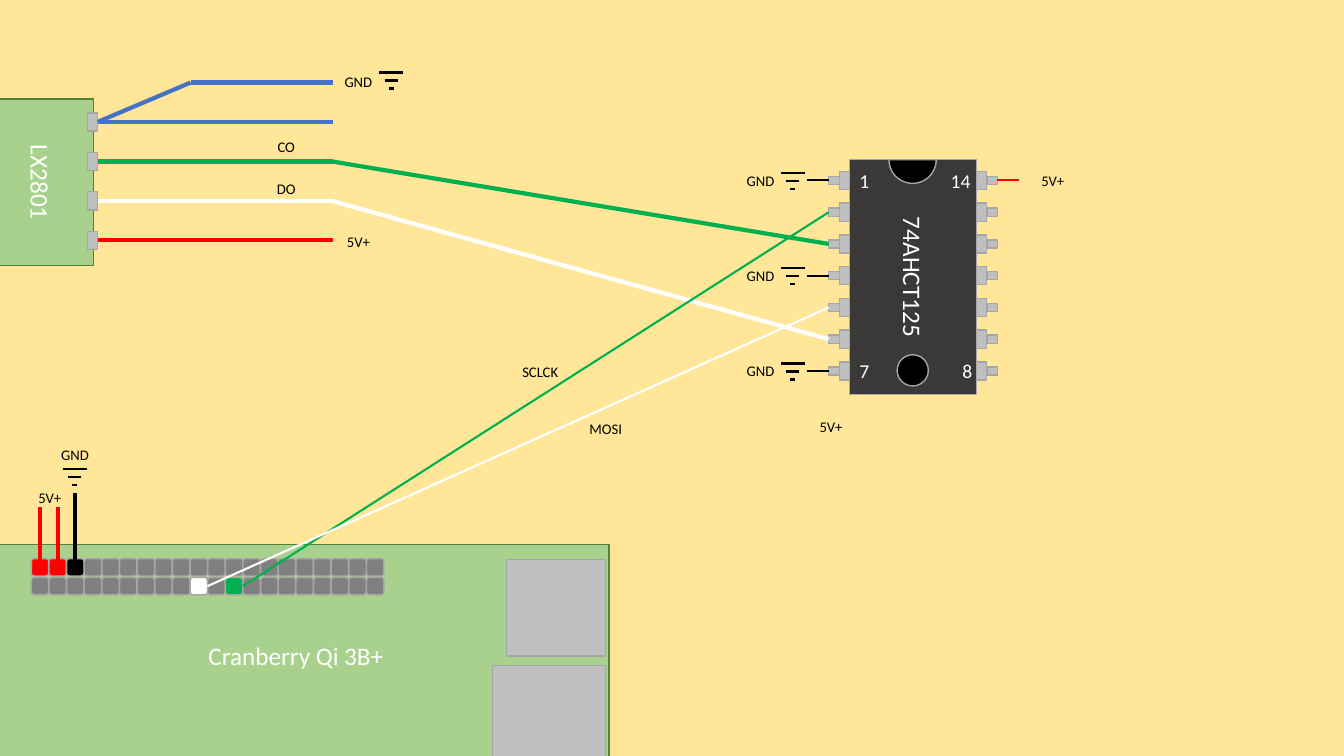
from pptx import Presentation
from pptx.dml.color import RGBColor
from pptx.enum.shapes import MSO_CONNECTOR, MSO_SHAPE
from pptx.enum.text import MSO_ANCHOR, PP_ALIGN
from pptx.util import Pt
from lxml import etree

INK = {"sand": "FFE699", "chip": "3B3838", "edge": "A6A6A6", "metal": "BFBFBF",
       "board": "A9D18E", "rim": "548235", "gray": "808080", "black": "000000",
       "white": "FFFFFF", "red": "FF0000", "green": "00B050", "blue": "4472C4"}
FRAME = {"word_wrap": True, "vertical_anchor": MSO_ANCHOR.MIDDLE, "margin_left": 0,
         "margin_right": 0, "margin_top": 0, "margin_bottom": 0}
A_NS = "http://schemas.openxmlformats.org/drawingml/2006/main"

deck = Presentation()
deck.slide_width, deck.slide_height = Pt(960), Pt(540)
slide = deck.slides.add_slide(deck.slide_layouts[6])
parts = slide.shapes


def block(kind, x, y, w, h, fill=None, edge="edge", text="", size=18, ink="white"):
    """Shape, or a plain text box when kind is None; text is centred."""
    box = [Pt(n) for n in (x, y, w, h)]
    if kind is None:
        item = parts.add_textbox(*box)
    else:
        item = parts.add_shape(kind, *box)
        item.shadow.inherit = False
        item.fill.solid()
        item.fill.fore_color.rgb = RGBColor.from_string(INK[fill])
        if edge:
            item.line.color.rgb = RGBColor.from_string(INK[edge])
            item.line.width = Pt(1)
        else:
            item.line.fill.background()
    if text:
        for key, val in FRAME.items():
            setattr(item.text_frame, key, val)
        para = item.text_frame.paragraphs[0]
        para.alignment = PP_ALIGN.CENTER
        run = para.add_run()
        run.text = text
        for key, val in {"size": Pt(size), "name": "Calibri"}.items():
            setattr(run.font, key, val)
        run.font.color.rgb = RGBColor.from_string(INK[ink])
    return item


def wire(start, end, ink, width=1.5):
    """Line between two ends; an end is a point or a (shape, side) pair."""
    spots = [(0, 0) if hasattr(e[0], "shape_id") else e for e in (start, end)]
    line = parts.add_connector(MSO_CONNECTOR.STRAIGHT, *[Pt(n) for s in spots for n in s])
    for e, join in ((start, line.begin_connect), (end, line.end_connect)):
        if hasattr(e[0], "shape_id"):
            join(*e)
    line.line.color.rgb = RGBColor.from_string(INK[ink])
    line.line.width = Pt(width)
    etree.SubElement(line.element.spPr, "{%s}effectLst" % A_NS)


RECT = MSO_SHAPE.RECTANGLE
block(RECT, 0, -2.9, 960, 542.9, "sand", None)

# Chip body with notch and dot
chip = block(RECT, 607, 114, 90.7, 167.6, "chip", text="74AHCT125")
notch = block(MSO_SHAPE.CHORD, 635, 97.2, 33.8, 33.8, "black")
notch.rotation = 270
notch.adjustments[0], notch.adjustments[1] = 54, 162
block(MSO_SHAPE.OVAL, 640.8, 253.4, 22.3, 22.3, "black")

# Chip pins, seven on each side
rows = [128.9 + 22.68 * i for i in range(7)]
tips = []
for y in rows:
    block(RECT, 599.8, y - 6.5, 7.2, 13, "metal")
    tips.append(block(RECT, 592, y - 2.9, 7.5, 5.8, "metal"))
right = []
for y in rows:
    block(RECT, 697.7, y - 6.5, 7.2, 13, "metal")
    right.append(block(RECT, 704.9, y - 2.9, 7.5, 5.8, "metal"))
for text, x, y in (("1", 617.4, rows[0]), ("7", 617.4, rows[6]),
                   ("8", 691, rows[6]), ("14", 686.2, rows[0])):
    block(None, x - 10, y - 7.5, 20, 15, text=text, size=14)

# Strip board and its pins
strip = block(RECT, -8.6, 70.6, 75.2, 119.2, "board", "rim", "LX2801")
for item in (chip, strip):
    item.element.txBody.bodyPr.set("vert", "vert")
ports = [block(RECT, 62.6, 80.6 + 28.2 * i, 7.2, 13, "metal") for i in range(4)]

# Strip wires
for i, ink in enumerate(("blue", "green", "white", "red")):
    wire((237.6, 87.1 + 28.2 * i), (ports[i], 3), ink, 3)
wire((237.6, 59), (136.1, 59), "blue", 3)
wire((136.1, 59), (ports[0], 3), "blue", 3)
wire((tips[2], 1), (236.9, 115.3), "green", 3)
wire((tips[5], 1), (236.9, 143.5), "white", 3)

# Chip power wires
for i in (0, 3, 6):
    wire((tips[i], 1), (576.7, rows[i]), "black")
wire((727.9, rows[0]), (right[0], 3), "red")

# Computer board with header and sockets
block(RECT, -12.2, 388.8, 447.1, 159.1, "board", "rim", "Cranberry Qi 3B+")
tint = {(0, 0): "red", (0, 1): "red", (0, 2): "black", (1, 9): "white", (1, 11): "green"}
cells = {}
for row in range(2):
    for col in range(20):
        cells[row, col] = block(MSO_SHAPE.ROUNDED_RECTANGLE, 22.4 + 12.6 * col,
                                399 + 13.5 * row, 12.4, 12.4,
                                tint.get((row, col), "gray"))
block(RECT, 361.8, 399.6, 70.8, 69.1, "metal")
block(RECT, 351.6, 475.2, 80.9, 79.2, "metal")

# Header wires
wire((tips[1], 1), (cells[1, 11], 3), "green")
wire((tips[4], 1), (cells[1, 9], 3), "white")
for col, top, ink in ((0, 362.2, "red"), (1, 362.2, "red"), (2, 352.1, "black")):
    x = 28.6 + 12.6 * col
    wire((x, top), (x, 405.4), ink, 3)

# Ground signs
for x, y in [(566.3, rows[i] - 5.3) for i in (0, 3, 6)] + [(279.4, 51.8), (53.5, 334.8)]:
    for i, half in enumerate((8.6, 4.7, 1.8)):
        wire((x - half, y + 5.7 * i), (x + half, y + 5.7 * i), "black")

# Labels, placed by their centres
tags = [("GND", 543.2, rows[i]) for i in (0, 3, 6)] + [
    ("GND", 256, 58), ("GND", 53.6, 324.4), ("SCLCK", 385.9, 265.3),
    ("MOSI", 432.7, 306.4), ("CO", 204.5, 104.8), ("DO", 204.5, 135),
    ("5V+", 752, 129.2), ("5V+", 593.6, 304.9), ("5V+", 256, 172.4),
    ("5V+", 35.6, 355.4)]
for text, x, y in tags:
    block(None, x - 22, y - 7.5, 44, 15, text=text, size=10.5, ink="black")

deck.save("out.pptx")
